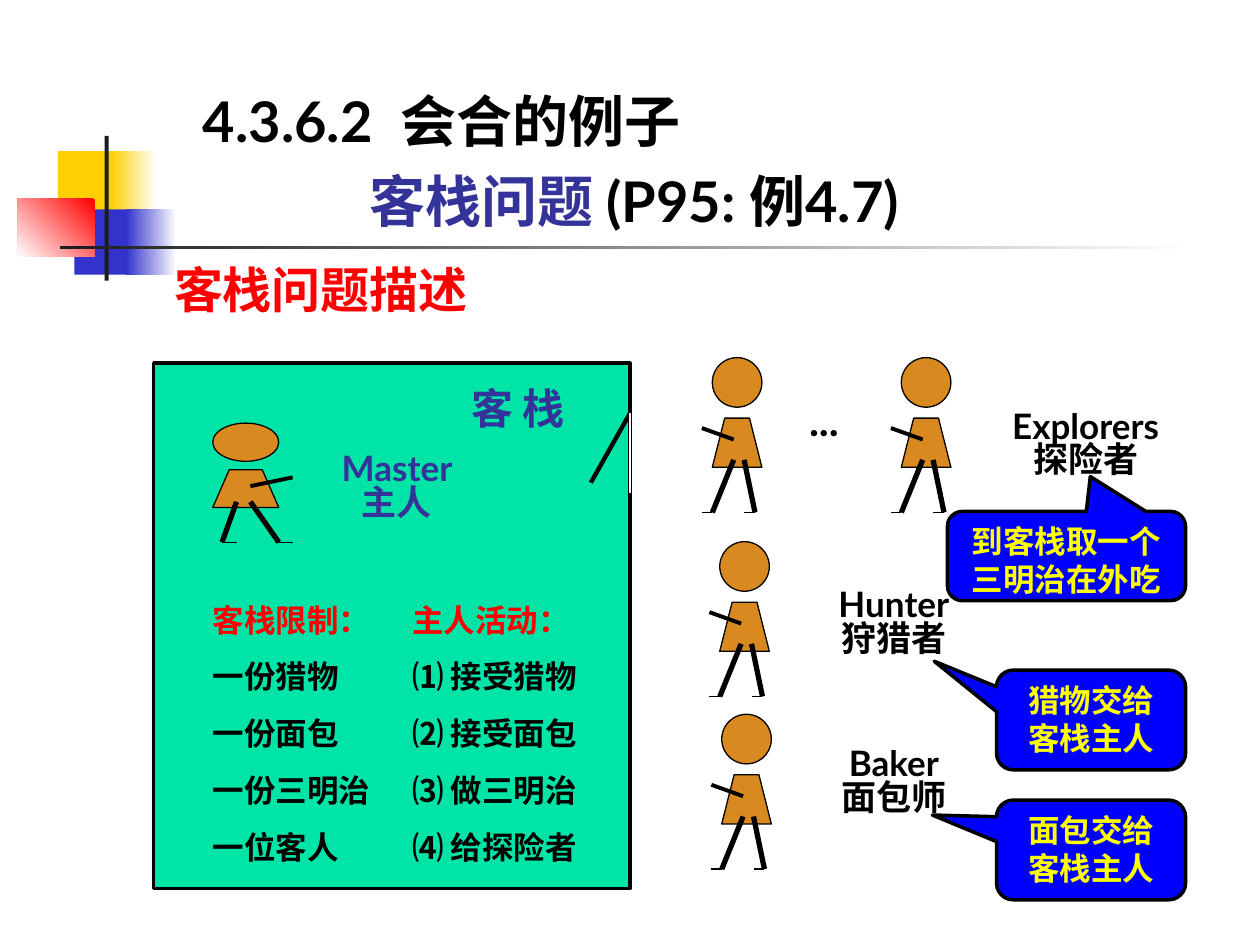
from lxml import etree
from pptx import Presentation
from pptx.dml.color import RGBColor
from pptx.enum.shapes import MSO_CONNECTOR, MSO_SHAPE
from pptx.enum.text import MSO_ANCHOR, MSO_AUTO_SIZE, PP_ALIGN
from pptx.oxml.ns import qn
from pptx.util import Cm, Pt

BLACK = RGBColor(0x00, 0x00, 0x00)
WHITE = RGBColor(0xFF, 0xFF, 0xFF)
RED = RGBColor(0xFF, 0x00, 0x00)
GOLD = RGBColor(0xFF, 0xCF, 0x01)
YELLOW = RGBColor(0xFF, 0xFF, 0x00)
BLUE = RGBColor(0x00, 0x00, 0xFF)
ROYAL = RGBColor(0x33, 0x33, 0xCC)
INDIGO = RGBColor(0x33, 0x33, 0x99)
CHARCOAL = RGBColor(0x1C, 0x1C, 0x1C)
GREEN = RGBColor(0x00, 0xE4, 0xA8)
OCHRE = RGBColor(0xD8, 0x89, 0x20)
LATIN, CJK = "Lato", "Noto Sans CJK SC"

# Content: all lengths in centimetres, boxes are left, top, width, height
TITLE_LINES = [
    [("4.3.6.2  会合的例子", BLACK)],
    [("客栈问题 ", INDIGO), ("(P95: 例4.7)", BLACK)],
]
TITLE_BOX = (4.09, 1.47, 16.41, 3.25)
TITLE_INDENT = 3.35
LISTS = [
    ((4.29, 11.73, 3.5, 5.72),
     ["客栈限制：", "一份猎物", "一份面包", "一份三明治", "一位客人"]),
    ((8.31, 11.73, 3.9, 5.72),
     ["主人活动：", "⑴ 接受猎物", "⑵ 接受面包", "⑶ 做三明治", "⑷ 给探险者"]),
]
DECORATION = [  # box, first colour, second colour, angle
    ((1.17, 3.05, 1.22, 1.32), GOLD, None, 0),
    ((2.24, 3.05, 0.91, 1.32), WHITE, GOLD, 180),
    ((1.5, 4.22, 1.17, 1.32), ROYAL, None, 0),
    ((2.54, 4.22, 1.02, 1.32), WHITE, ROYAL, 180),
    ((0.36, 4.01, 1.55, 1.17), RED, WHITE, 225),
    ((2.11, 2.74, 0.08, 2.92), CHARCOAL, None, 0),
    ((1.22, 4.95, 22.86, 0.08), WHITE, CHARCOAL, 180),
]
INN_BOX = (3.1, 7.32, 9.6, 10.59)
DOOR_TOP, DOOR_BOTTOM, DOOR_EDGE = (12.7, 8.33), (11.91, 9.73), (12.7, 9.93)
LABELS = [  # box, lines, format
    ((9.5, 7.72, 2.4, 1.02), ["客 栈"], dict(size=24, color=INDIGO, latin=CJK)),
    ((3.51, 5.23, 6.8, 1.19), ["客栈问题描述"], dict(size=28, color=RED, latin=CJK)),
    ((16.31, 8.31, 1.04, 0.61), ["..."], dict(size=24, spacing=0.6)),
]
ROLES = [  # box, English name, Chinese name, colour
    ((6.71, 9.17, 2.59, 1.35), "Master", "主人", INDIGO),
    ((19.66, 8.31, 4.45, 1.35), "Explorers", "探险者", BLACK),
    ((16.51, 11.91, 3.02, 1.35), "Hunter", "狩猎者", BLACK),
    ((16.51, 15.11, 3.02, 1.35), "Baker", "面包师", BLACK),
]
MASTER = dict(left=4.29, top=8.53, x_scale=1.33, y_scale=0.77, mirrored=True)
VISITORS = [(14.36, 7.21), (18.17, 7.21), (14.51, 10.92), (14.55, 14.4)]
CALLOUTS = [  # box, tip offset, text
    ((19.1, 10.31, 4.8, 1.8), (0.1, -0.89), "到客栈取一个三明治在外吃"),
    ((20.09, 13.51, 3.81, 2.01), (-0.83, -0.59), "猎物交给客栈主人"),
    ((20.09, 16.13, 3.81, 2.01), (-0.84, -0.35), "面包交给客栈主人"),
]

# A figure facing left, measured from the corner of its 1 cm head
TORSO = [(1, 2.21), (0, 2.21), (0.25, 1.22), (0.75, 1.22)]
LIMBS = [  # start, end, line width
    ((0.64, 2.06), (0.86, 3.12), 3),
    ((0.43, 2.06), (0, 3.12), 3),
    ((0.86, 3.12), (0.64, 3.12), 0.75),
    ((0, 3.12), (-0.21, 3.12), 0.75),
    ((0.43, 1.65), (-0.21, 1.42), 2.25),
]

prs = Presentation()
prs.slide_width, prs.slide_height = Cm(25.4), Cm(19.05)
slide = prs.slides.add_slide(prs.slide_layouts[3])
shapes = slide.shapes


def write(frame, lines, size=18, color=BLACK, latin=LATIN, align=PP_ALIGN.LEFT,
          spacing=1.0, anchor=MSO_ANCHOR.TOP, margins=(0, 0)):
    """Fill a frame; a line is a string or a list of (text, colour) runs."""
    frame.word_wrap = True
    frame.auto_size = MSO_AUTO_SIZE.NONE
    frame.vertical_anchor = anchor
    frame.margin_left = frame.margin_right = Cm(margins[0])
    frame.margin_top = frame.margin_bottom = Cm(margins[1])
    for i, line in enumerate(lines):
        paragraph = frame.paragraphs[0] if i == 0 else frame.add_paragraph()
        paragraph.alignment = align
        paragraph.line_spacing = spacing
        paragraph.space_before = Pt(0)
        properties = paragraph._p.get_or_add_pPr()
        properties.set("marL", "0")
        properties.set("indent", "0")
        etree.SubElement(properties, qn("a:buNone"))
        for text, run_color in [(line, color)] if isinstance(line, str) else line:
            run = paragraph.add_run()
            run.text = text
            run.font.size, run.font.bold, run.font.name = Pt(size), True, latin
            run.font.color.rgb = run_color
            etree.SubElement(run._r.get_or_add_rPr(), qn("a:ea"), typeface=CJK)


def place(placeholder, box):
    """Move a placeholder to its box, in front of what is already drawn."""
    placeholder.left, placeholder.top, placeholder.width, placeholder.height = map(Cm, box)
    shapes._spTree.append(placeholder._element)
    return placeholder.text_frame


def paint(shape, fill, line_width=None):
    shape.shadow.inherit = False
    shape.fill.solid()
    shape.fill.fore_color.rgb = fill
    if line_width:
        shape.line.color.rgb, shape.line.width = BLACK, Pt(line_width)
    else:
        shape.line.fill.background()
    return shape


def add_block(kind, box, fill, line_width=None):
    return paint(shapes.add_shape(kind, *map(Cm, box)), fill, line_width)


def add_line(start, end, width, color=BLACK):
    line = shapes.add_connector(MSO_CONNECTOR.STRAIGHT, *map(Cm, (*start, *end)))
    line.line.color.rgb, line.line.width = color, Pt(width)
    etree.SubElement(line._element.spPr, qn("a:effectLst"))


def add_figure(left, top, x_scale=1, y_scale=1, mirrored=False):
    def spot(point):
        x = 1 - point[0] if mirrored else point[0]
        return left + x * x_scale, top + point[1] * y_scale

    corners = [tuple(map(Cm, spot(point))) for point in TORSO]
    outline = shapes.build_freeform(*corners[0])
    outline.add_line_segments(corners[1:], close=True)
    paint(outline.convert_to_shape(), OCHRE, 0.75)
    add_block(MSO_SHAPE.OVAL, (left, top, x_scale, y_scale), OCHRE, 0.75)
    for start, end, width in LIMBS:
        add_line(spot(start), spot(end), width)


# Corner decoration and rule
for box, first, second, angle in DECORATION:
    block = add_block(MSO_SHAPE.RECTANGLE, box, first)
    if second is not None:
        block.fill.gradient()
        block.fill.gradient_angle = angle
        for stop, stop_color in zip(block.fill.gradient_stops, (first, second)):
            stop.color.rgb = stop_color

# Inn with its open door and its master
add_block(MSO_SHAPE.RECTANGLE, INN_BOX, GREEN, 2)
add_line(DOOR_TOP, DOOR_BOTTOM, 2.5)
add_figure(**MASTER)
add_line(DOOR_TOP, DOOR_EDGE, 0.75, WHITE)

# Title and the two lists
title, *list_holders = slide.placeholders
title_frame = place(title, TITLE_BOX)
write(title_frame, TITLE_LINES, size=32, spacing=1.2, anchor=MSO_ANCHOR.BOTTOM)
title_frame.paragraphs[1]._p.pPr.set("marL", str(Cm(TITLE_INDENT)))
for holder, (box, (heading, *items)) in zip(list_holders, LISTS):
    write(place(holder, box), [[(heading, RED)], *items], spacing=1.5)

# Visitors and labels
for left, top in VISITORS:
    add_figure(left, top)
for box, lines, style in LABELS:
    write(shapes.add_textbox(*map(Cm, box)).text_frame, lines, **style)
for box, english, chinese, color in ROLES:
    write(shapes.add_textbox(*map(Cm, box)).text_frame, [english, chinese],
          size=20, color=color, align=PP_ALIGN.CENTER, spacing=0.8)

# Callouts
for box, tip, text in CALLOUTS:
    callout = add_block(MSO_SHAPE.ROUNDED_RECTANGULAR_CALLOUT, box, BLUE, 2)
    callout.adjustments[0], callout.adjustments[1] = tip
    write(callout.text_frame, [text], color=YELLOW, align=PP_ALIGN.CENTER,
          margins=(0.25, 0.13))

prs.save("out.pptx")
